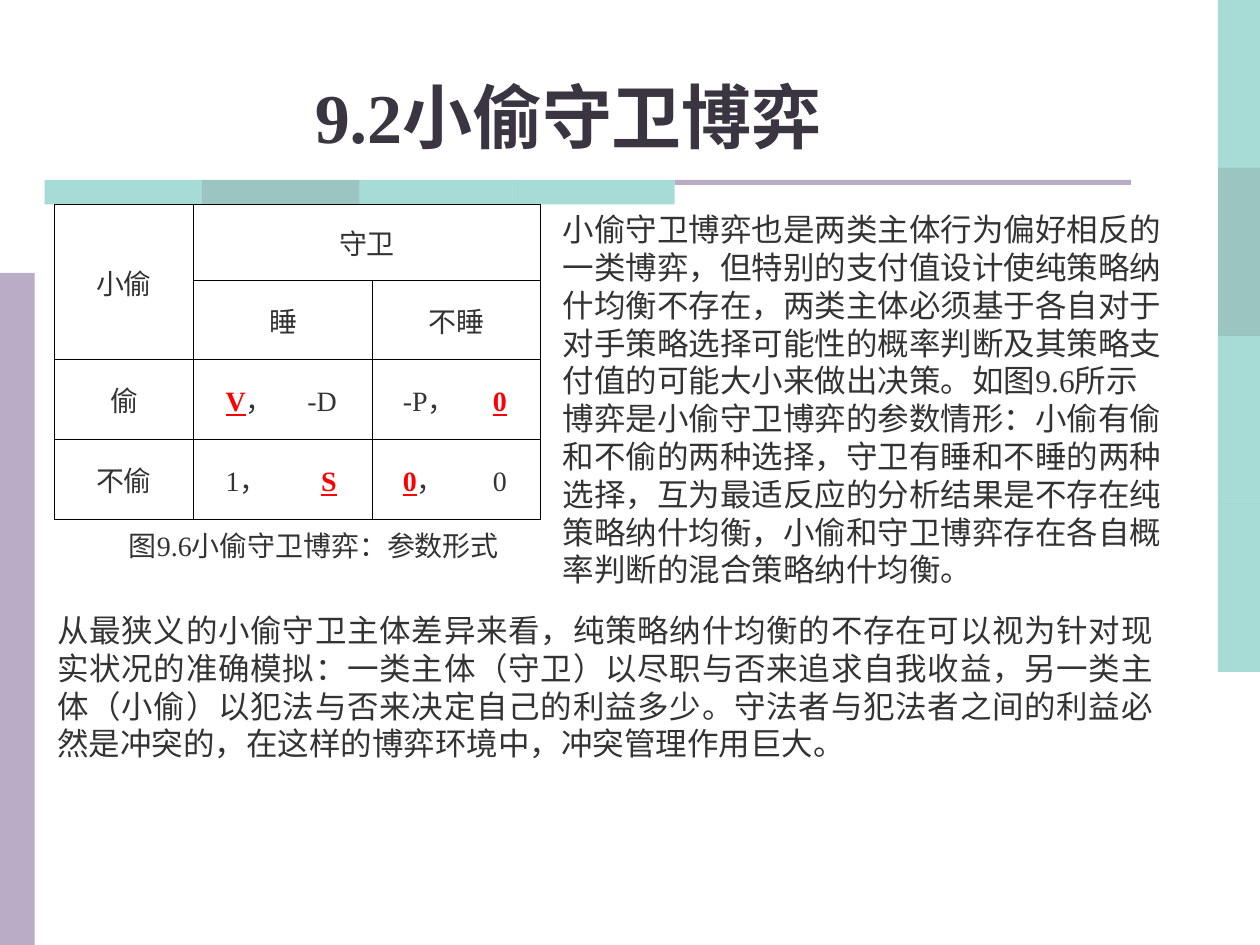
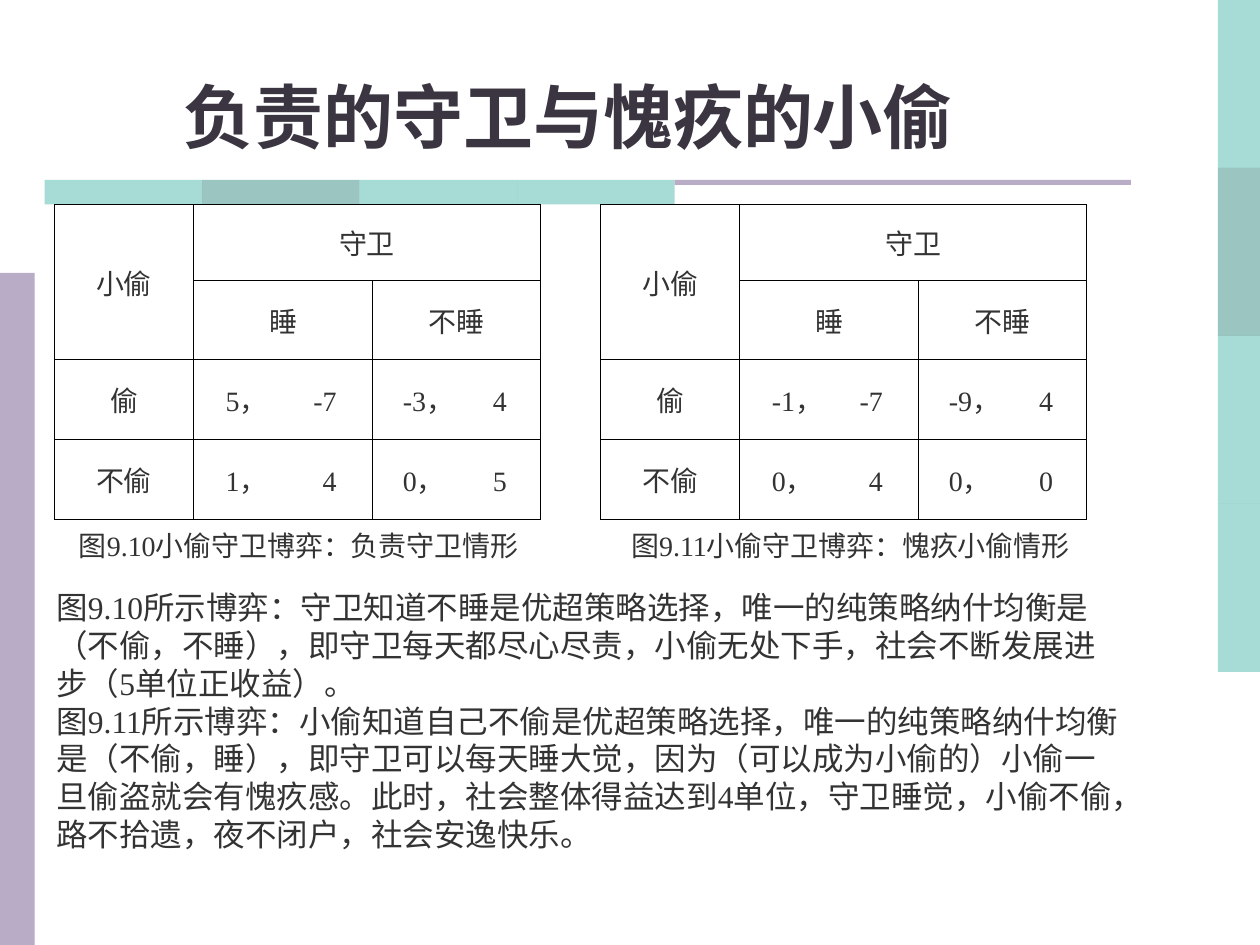
from dataclasses import dataclass

from lxml.etree import SubElement
from pptx import Presentation
from pptx.dml.color import RGBColor
from pptx.enum.lang import MSO_LANGUAGE_ID
from pptx.enum.shapes import MSO_SHAPE
from pptx.enum.text import MSO_ANCHOR, MSO_AUTO_SIZE, PP_ALIGN
from pptx.oxml import parse_xml
from pptx.oxml.ns import nsdecls, qn
from pptx.util import Inches, Pt

COLORS = {
    "teal": "51B9AF",
    "deep_teal": "398D85",
    "lilac": "B8ACC6",
    "title": "3A3541",
    "body": "333333",
    "best_reply": "FF0000",
    "border": "000000",
}
FONT = "Times New Roman"
UNIT = Inches(0.1)
COLUMNS, ROWS = 100, 75
STRIPE = ("teal", "deep_teal", "teal", "teal")
MATRIX_COLUMNS = (11.04, 14.21, 13.33)
MATRIX_ROWS = (6.03, 6.27, 6.35, 6.35)
CAPTION_GAP = 0.2


@dataclass
class Box:
    left: float
    top: float
    width: float
    height: float

    def emu(self):
        return [round(side * UNIT) for side in (self.left, self.top, self.width, self.height)]

    def share(self, x, y, width, height):
        return Box(self.left + x * self.width, self.top + y * self.height,
                   width * self.width, height * self.height)


TITLE = Box(0, 4.4, 90.2, 8.6)
SIDE_STRIPE = Box(96.67, 0, 3.33, 53.33)
LEFT_STRIPE = Box(0, 21.67, 2.75, 53.33)
TITLE_STRIPE = Box(3.55, 14.28, 50, 1.95)
TITLE_LINE = Box(53.55, 14.28, 36.2, 0.4)
LEFT_MATRIX = Box(4.32, 16.23, sum(MATRIX_COLUMNS), sum(MATRIX_ROWS))
RIGHT_MATRIX = Box(47.66, 16.23, sum(MATRIX_COLUMNS), sum(MATRIX_ROWS))


def color(name):
    return RGBColor.from_string(COLORS[name])


def style_run(run, size, tone="body", bold=False, underline=False):
    font = run.font
    font.name, font.size = FONT, Pt(size)
    font.bold, font.underline = bold, underline
    font.color.rgb = color(tone)
    font.language_id = MSO_LANGUAGE_ID.SIMPLIFIED_CHINESE


def add_words(slide, box, lines, size, align=PP_ALIGN.LEFT, before=0):
    words = slide.shapes.add_textbox(*box.emu())
    frame = words.text_frame
    frame.word_wrap = True
    frame.auto_size = MSO_AUTO_SIZE.SHAPE_TO_FIT_TEXT
    frame.text = "\n".join(lines)
    for paragraph in frame.paragraphs:
        paragraph.alignment = align
        paragraph.space_before = Pt(before)
        for run in paragraph.runs:
            style_run(run, size)
    return frame


def add_title(slide, box, title):
    frame = add_words(slide, box, [title], 40, PP_ALIGN.CENTER)
    frame.auto_size = MSO_AUTO_SIZE.NONE
    frame.vertical_anchor = MSO_ANCHOR.BOTTOM
    style_run(frame.paragraphs[0].runs[0], 40, "title", bold=True)


def add_band(slide, box, tone, alpha=None):
    band = slide.shapes.add_shape(MSO_SHAPE.RECTANGLE, *box.emu())
    band.shadow.inherit = False
    band.line.fill.background()
    band.fill.solid()
    band.fill.fore_color.rgb = color(tone)
    if alpha:
        tint = band.fill._xPr.find(qn("a:solidFill"))[0]
        SubElement(tint, qn("a:alpha")).set("val", str(alpha * 1000))


def add_stripe(slide, box, vertical):
    step = 1 / len(STRIPE)
    for index, tone in enumerate(STRIPE):
        area = (0, index * step, 1, step) if vertical else (index * step, 0, step, 1)
        add_band(slide, box.share(*area), tone, alpha=50)


def add_frame(deck, title):
    slide = deck.slides.add_slide(deck.slide_layouts[6])
    add_stripe(slide, SIDE_STRIPE, vertical=True)
    add_band(slide, LEFT_STRIPE, "lilac")
    add_stripe(slide, TITLE_STRIPE, vertical=False)
    add_band(slide, TITLE_LINE, "lilac")
    add_title(slide, TITLE, title)
    return slide


def border_cell(cell):
    cell.fill.background()
    properties = cell._tc.get_or_add_tcPr()
    for index, side in enumerate("LRTB"):
        properties.insert(index, parse_xml(
            f'<a:ln{side} {nsdecls("a")} w="{Pt(0.45)}"><a:solidFill>'
            f'<a:srgbClr val="{COLORS["border"]}"/></a:solidFill></a:ln{side}>'))


def fill_label(cell, label):
    cell.text_frame.text = label
    paragraph = cell.text_frame.paragraphs[0]
    paragraph.alignment = PP_ALIGN.CENTER
    style_run(paragraph.runs[0], 16)


def fill_payoffs(cell, payoffs, width, best):
    cell.margin_left = round(0.18 * width)
    paragraph = cell.text_frame.paragraphs[0]
    paragraph.alignment = PP_ALIGN.LEFT
    stops = SubElement(paragraph._p.get_or_add_pPr(), qn("a:tabLst"))
    stop = SubElement(stops, qn("a:tab"))
    stop.set("pos", str(round(0.62 * width)))
    stop.set("algn", "r")
    thief, guard = payoffs
    for part, player in ((thief, 0), ("，\t", None), (guard, 1)):
        run = paragraph.add_run()
        run.text = part
        if player is not None and player == best:
            style_run(run, 16, "best_reply", bold=True, underline=True)
        else:
            style_run(run, 16)


def add_matrix(slide, box, payoffs, best_replies=((None, None), (None, None))):
    matrix = slide.shapes.add_table(4, 3, *box.emu()).table
    matrix.first_row = matrix.horz_banding = False
    for column, width in zip(matrix.columns, MATRIX_COLUMNS):
        column.width = round(width * UNIT)
    for row, height in zip(matrix.rows, MATRIX_ROWS):
        row.height = round(height * UNIT)
    for cell in matrix.iter_cells():
        border_cell(cell)
        cell.vertical_anchor = MSO_ANCHOR.MIDDLE
    matrix.cell(0, 0).merge(matrix.cell(1, 0))
    matrix.cell(0, 1).merge(matrix.cell(0, 2))
    labels = {(0, 0): "小偷", (0, 1): "守卫", (1, 1): "睡", (1, 2): "不睡",
              (2, 0): "偷", (3, 0): "不偷"}
    for place, label in labels.items():
        fill_label(matrix.cell(*place), label)
    for row, (pairs, bests) in enumerate(zip(payoffs, best_replies), 2):
        for column, (pair, best) in enumerate(zip(pairs, bests), 1):
            fill_payoffs(matrix.cell(row, column), pair, matrix.columns[column].width, best)


def add_caption(slide, matrix_box, caption, shift, width):
    box = Box(matrix_box.left + shift, matrix_box.top + matrix_box.height + CAPTION_GAP, width, 3.7)
    add_words(slide, box, [caption], 16, PP_ALIGN.CENTER)


def build_parameter_slide(deck):
    slide = add_frame(deck, "9.2小偷守卫博弈")
    add_matrix(slide, LEFT_MATRIX,
               ((("V", "-D"), ("-P", "0")), (("1", "S"), ("0", "0"))),
               best_replies=((0, 1), (1, 0)))
    add_caption(slide, LEFT_MATRIX, "图9.6小偷守卫博弈：参数形式", 4, 33.2)
    add_words(slide, Box(43.7, 16.2, 49.6, 31), [
        "小偷守卫博弈也是两类主体行为偏好相反的一类博弈，但特别的支付值设计使纯策略纳什均衡不存在，"
        "两类主体必须基于各自对于对手策略选择可能性的概率判断及其策略支付值的可能大小来做出决策。"
        "如图9.6所示博弈是小偷守卫博弈的参数情形：小偷有偷和不偷的两种选择，守卫有睡和不睡的两种选择，"
        "互为最适反应的分析结果是不存在纯策略纳什均衡，小偷和守卫博弈存在各自概率判断的混合策略纳什均衡。",
    ], 18)
    add_words(slide, Box(3.55, 48, 89, 13), [
        "从最狭义的小偷守卫主体差异来看，纯策略纳什均衡的不存在可以视为针对现实状况的准确模拟："
        "一类主体（守卫）以尽职与否来追求自我收益，另一类主体（小偷）以犯法与否来决定自己的利益多少。"
        "守法者与犯法者之间的利益必然是冲突的，在这样的博弈环境中，冲突管理作用巨大。",
    ], 18, PP_ALIGN.JUSTIFY, before=4.5)


def build_comparison_slide(deck):
    slide = add_frame(deck, "负责的守卫与愧疚的小偷")
    add_matrix(slide, LEFT_MATRIX,
               ((("5", "-7"), ("-3", "4")), (("1", "4"), ("0", "5"))))
    add_caption(slide, LEFT_MATRIX, "图9.10小偷守卫博弈：负责守卫情形", -0.1, 39)
    add_matrix(slide, RIGHT_MATRIX,
               ((("-1", "-7"), ("-9", "4")), (("0", "4"), ("0", "0"))))
    add_caption(slide, RIGHT_MATRIX, "图9.11小偷守卫博弈：愧疚小偷情形", 0.35, 39)
    add_words(slide, Box(3.5, 46.2, 86.6, 22), [
        "图9.10所示博弈：守卫知道不睡是优超策略选择，唯一的纯策略纳什均衡是（不偷，不睡），"
        "即守卫每天都尽心尽责，小偷无处下手，社会不断发展进步（5单位正收益）。",
        "图9.11所示博弈：小偷知道自己不偷是优超策略选择，唯一的纯策略纳什均衡是（不偷，睡），"
        "即守卫可以每天睡大觉，因为（可以成为小偷的）小偷一旦偷盗就会有愧疚感。"
        "此时，社会整体得益达到4单位，守卫睡觉，小偷不偷，路不拾遗，夜不闭户，社会安逸快乐。",
    ], 18)


def main():
    deck = Presentation()
    deck.slide_width, deck.slide_height = COLUMNS * UNIT, ROWS * UNIT
    build_parameter_slide(deck)
    build_comparison_slide(deck)
    deck.save("out.pptx")


if __name__ == "__main__":
    main()
